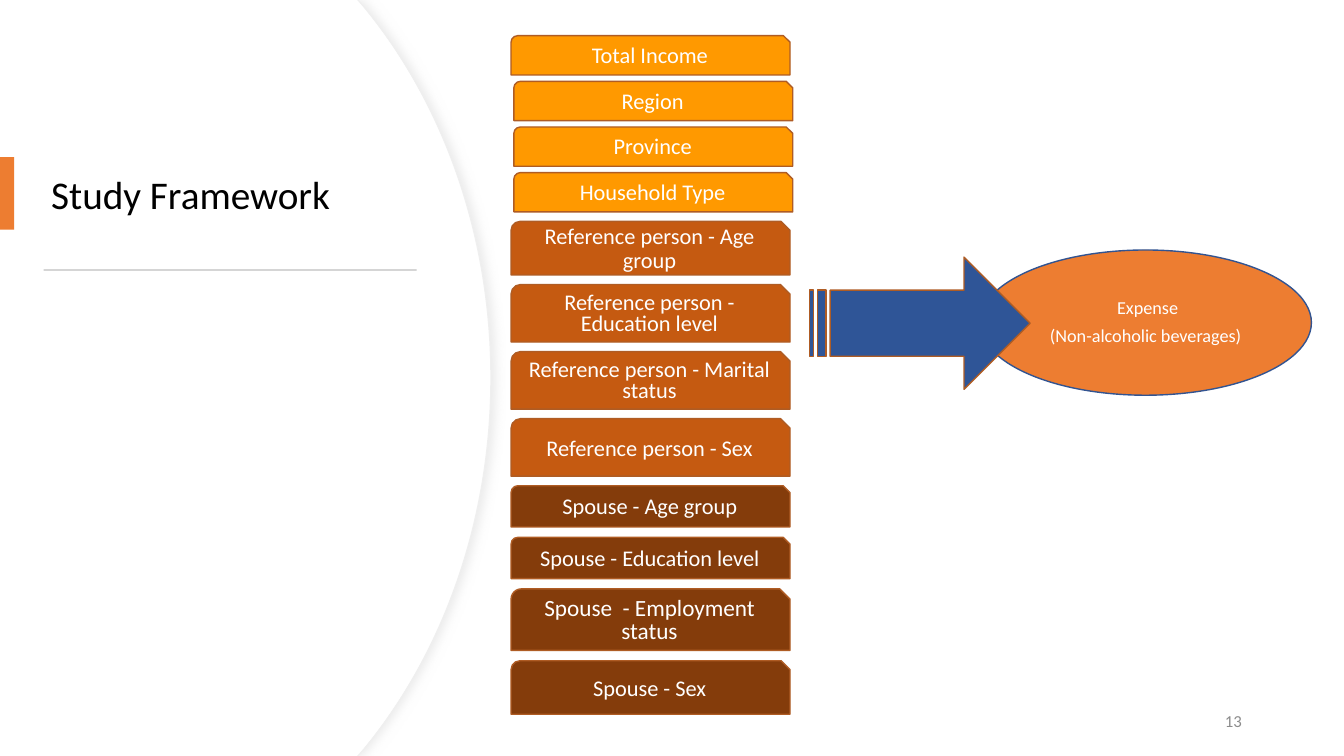
from lxml import etree
from pptx import Presentation
from pptx.dml.color import RGBColor
from pptx.enum.shapes import MSO_SHAPE as Preset
from pptx.enum.text import MSO_ANCHOR as Anchor, MSO_AUTO_SIZE as AutoSize, PP_ALIGN as Align
from pptx.oxml import parse_xml
from pptx.oxml.ns import qn
from pptx.util import Cm, Pt


def paint(fill, colour):
    fill.solid()
    fill.fore_color.rgb = RGBColor.from_string(colour)


def write(box, lines, size, colour, align, line_spacing=1.0, space_after=0, inset=0.25):
    frame = box.text_frame
    frame_format = {
        "word_wrap": True, "auto_size": AutoSize.NONE, "vertical_anchor": Anchor.MIDDLE,
        "margin_left": Cm(inset), "margin_right": Cm(inset),
        "margin_top": Cm(inset / 2), "margin_bottom": Cm(inset / 2),
    }
    for name, value in frame_format.items():
        setattr(frame, name, value)
    frame.text = "\n".join(lines)
    para_format = {"alignment": align, "line_spacing": line_spacing, "space_after": Pt(space_after)}
    for para in frame.paragraphs:
        for name, value in para_format.items():
            setattr(para, name, value)
        for span in para.runs:
            span.font.name = "Calibri"
            span.font.size = Pt(size)
            paint(span.font.fill, colour)


WHITE, BLACK, ORANGE, RUST = "FFFFFF", "000000", "ED7D31", "AF5C24"
AMBER, COPPER, BROWN = "FF9900", "C55A11", "843C0B"
PAGE_WIDTH, PAGE_HEIGHT = 33.87, 19.05

deck = Presentation()
deck.slide_width, deck.slide_height = Cm(PAGE_WIDTH), Cm(PAGE_HEIGHT)
page = deck.slides.add_slide(deck.slide_layouts[5])
shapes = page.shapes

corners = [(902, 0), (919, 20), (1237, 952), (919, 1885), (902, 1905)]
handles = {2: [(1115, 259), (1237, 589)], 3: [(1237, 1316), (1115, 1646)]}

for shift, outlined in [(0, True), (3, False)]:
    builder = shapes.build_freeform(0, 0, scale=Cm(0.01))
    builder.add_line_segments([(x - shift, y) for x, y in corners] + [(0, 1905)], close=True)
    panel = builder.convert_to_shape()
    segments = list(panel.element.iter(qn("a:lnTo")))
    for index, points in handles.items():
        segment = segments[index]
        segment.tag = qn("a:cubicBezTo")
        for place, (x, y) in enumerate(points):
            segment.insert(place, etree.Element(qn("a:pt"), x=str(x - shift), y=str(y)))
    panel.shadow.inherit = False
    paint(panel.fill, WHITE)
    if outlined:
        paint(panel.line.fill, "EFEFEF")
        panel.line.width = Pt(0.75)
        effects = panel.element.spPr.find(qn("a:effectLst"))
        effects.append(parse_xml(
            '<a:outerShdw xmlns:a="http://schemas.openxmlformats.org/drawingml/2006/main" '
            'blurRad="88900" dist="38100" dir="0" algn="l" rotWithShape="0">'
            '<a:srgbClr val="D9D9D9"><a:alpha val="50000"/></a:srgbClr></a:outerShdw>'))
    else:
        panel.line.fill.background()

title = shapes.title
title_format = {"left": Cm(1.04), "top": Cm(3.24), "width": Cm(9.55), "height": Cm(3.43)}
for name, value in title_format.items():
    setattr(title, name, value)
write(title, ["Study Framework"], 28, BLACK, Align.LEFT, 0.9)
shapes.element.append(title.element)

figures = [
    (Preset.RECTANGLE, (0, 3.96, 0.36, 1.83), ORANGE, None, [], 16, 0.9),
    (Preset.RECTANGLE, (1.1, 6.78, 9.4, 0.05), "D5D5D5", None, [], 16, 0.9),
    (Preset.OVAL, (24.69, 6.3, 8.36, 3.66), ORANGE, "325491",
     [" Expense", "(Non-alcoholic beverages)"], 13, 0.9),
    (Preset.STRIPED_RIGHT_ARROW, (20.4, 6.48, 5.56, 3.33), "2F5597", RUST, [], 16, 0.9),
]

factor_groups = [
    (AMBER, 0.16, [
        ("Total Income", 12.88, 0.99, 16, 0.9),
        ("Region", 12.95, 0.99, 16, 0.9),
        ("Province", 12.95, 0.99, 16, 0.9),
        ("Household Type", 12.95, 0.99, 16, 0.9),
    ]),
    (COPPER, 0.24, [
        ("Reference person - Age group", 12.88, 1.35, 16, 0.9),
        ("Reference person - Education level", 12.88, 1.45, 16, 0.8),
        ("Reference person - Marital status", 12.88, 1.45, 16, 0.8),
        ("Reference person - Sex", 12.88, 1.45, 16, 0.9),
    ]),
    (BROWN, 0.26, [
        ("Spouse - Age group", 12.88, 1.04, 16, 0.9),
        ("Spouse - Education level", 12.88, 1.04, 16, 0.9),
        ("Spouse  - Employment status", 12.88, 1.55, 16.6, 0.8),
        ("Spouse - Sex", 12.88, 1.35, 16, 0.9),
    ]),
]
GROUP_GAP = 0.24
top = 0.9
for colour, gap, factors in factor_groups:
    for label, left, height, size, spacing in factors:
        figures.append((Preset.SNIP_ROUND_RECTANGLE, (left, top, 7.03, height), colour, RUST,
                        [label], size, spacing))
        top += height + gap
    top += GROUP_GAP - gap

for preset, place, colour, outline, lines, size, spacing in figures:
    figure = shapes.add_shape(preset, *[Cm(length) for length in place])
    figure.shadow.inherit = False
    paint(figure.fill, colour)
    if outline:
        paint(figure.line.fill, outline)
        figure.line.width = Pt(1)
    else:
        figure.line.fill.background()
    if lines:
        write(figure, lines, size, WHITE, Align.CENTER, spacing, 6, 0.16)

number = shapes.add_textbox(Cm(23.93), Cm(17.65), Cm(7.62), Cm(1.02))
write(number, ["13"], 12, "8C8C8C", Align.RIGHT)

deck.save("out.pptx")
